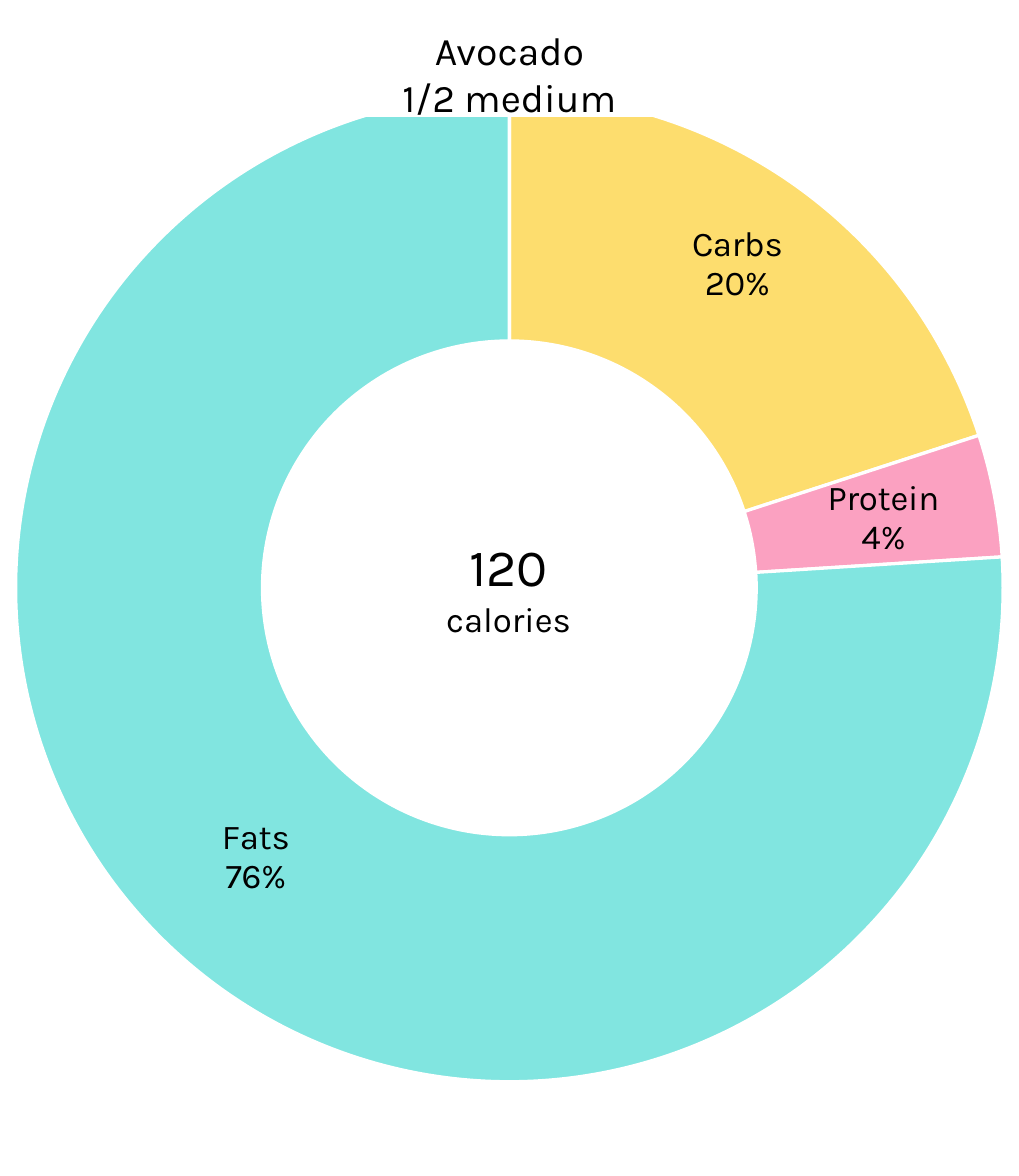
from dataclasses import dataclass

from lxml import etree
from pptx import Presentation
from pptx.chart.data import CategoryChartData
from pptx.dml.color import RGBColor
from pptx.enum.chart import XL_CHART_TYPE
from pptx.enum.shapes import MSO_SHAPE
from pptx.enum.text import MSO_ANCHOR, PP_ALIGN
from pptx.oxml.ns import qn
from pptx.util import Inches, Pt

RING = XL_CHART_TYPE.DOUGHNUT
RECT = MSO_SHAPE.RECTANGLE
MIDDLE = MSO_ANCHOR.MIDDLE
CENTER = PP_ALIGN.CENTER


@dataclass(frozen=True)
class Theme:
    font: str = "Karla"
    ink: RGBColor = RGBColor.from_string("000000")
    paper: RGBColor = RGBColor.from_string("FFFFFF")
    carbs: RGBColor = RGBColor.from_string("FDDD6E")
    protein: RGBColor = RGBColor.from_string("FBA1C1")
    fats: RGBColor = RGBColor.from_string("81E5E0")
    title: int = 18
    total: int = 24
    label: int = 16


THEME = Theme()
PARTS = [
    ("Carbs", 0.2, THEME.carbs, (0.01, -0.02)),
    ("Protein", 0.04, THEME.protein, (0.01, 0)),
    ("Fats", 0.76, THEME.fats, None),
]


def style(font, size):
    font.name = THEME.font
    font.size = Pt(size)
    font.color.rgb = THEME.ink


def write(frame, lines):
    frame.text = "\n".join(text for text, size in lines)
    for para, (text, size) in zip(frame.paragraphs, lines):
        para.alignment = CENTER
        for run in para.runs:
            style(run.font, size)


def place(parent, index, **values):
    for old in parent.findall(qn("c:layout")):
        parent.remove(old)
    layout = etree.Element(qn("c:layout"))
    manual = etree.SubElement(layout, qn("c:manualLayout"))
    for name, value in values.items():
        etree.SubElement(manual, qn(f"c:{name}")).set("val", str(value))
    parent.insert(index, layout)


def add_ring(slide):
    data = CategoryChartData(number_format="0%")
    data.categories = [name for name, *rest in PARTS]
    data.add_series("Series 1", [share for name, share, *rest in PARTS])
    chart = slide.shapes.add_chart(
        RING, Inches(-0.04), Inches(0), Inches(6.58), Inches(7.5), data
    ).chart
    chart.has_legend = False
    chart.has_title = False
    style(chart.font, THEME.label)
    place(
        next(chart.element.iter(qn("c:plotArea"))), 0,
        layoutTarget="inner", xMode="edge", yMode="edge",
        x=0.02, y=0.08, w=0.96, h=0.84,
    )
    plot = chart.plots[0]
    plot.vary_by_categories = True
    next(chart.element.iter(qn("c:holeSize"))).set("val", "50")
    series = plot.series[0]
    labels = series.data_labels
    labels.show_value = True
    labels.show_category_name = True
    labels.number_format = "0%"
    labels.number_format_is_linked = False
    style(labels.font, THEME.label)
    for index, (name, share, color, shift) in enumerate(PARTS):
        point = series.points[index]
        point.format.fill.solid()
        point.format.fill.fore_color.rgb = color
        point.format.line.color.rgb = THEME.paper
        point.format.line.width = Pt(1.5)
        lines = [(name, THEME.label), (f"{share:.0%}", THEME.label)]
        write(point.data_label.text_frame, lines)
        if shift:
            label = list(chart.element.iter(qn("c:dLbl")))[index]
            place(label, 1, x=shift[0], y=shift[1])


def add_total(slide):
    box = slide.shapes.add_textbox(
        Inches(2.68), Inches(3.36), Inches(1.13), Inches(0.77)
    )
    box.text_frame.word_wrap = False
    write(box.text_frame, [("120", THEME.total), ("calories", THEME.label)])


def add_title(slide):
    box = slide.shapes.add_shape(
        RECT, Inches(1.5), Inches(0.19), Inches(3.5), Inches(0.55)
    )
    box.shadow.inherit = False
    box.fill.solid()
    box.fill.fore_color.rgb = THEME.paper
    box.line.color.rgb = THEME.paper
    box.line.width = Pt(1)
    box.text_frame.vertical_anchor = MIDDLE
    write(box.text_frame, [("Avocado", THEME.title), ("1/2 medium", THEME.title)])


def main():
    deck = Presentation()
    deck.slide_width = Inches(6.5)
    deck.slide_height = Inches(7.5)
    slide = deck.slides.add_slide(deck.slide_layouts[6])
    add_ring(slide)
    add_total(slide)
    add_title(slide)
    deck.save("out.pptx")


if __name__ == "__main__":
    main()
